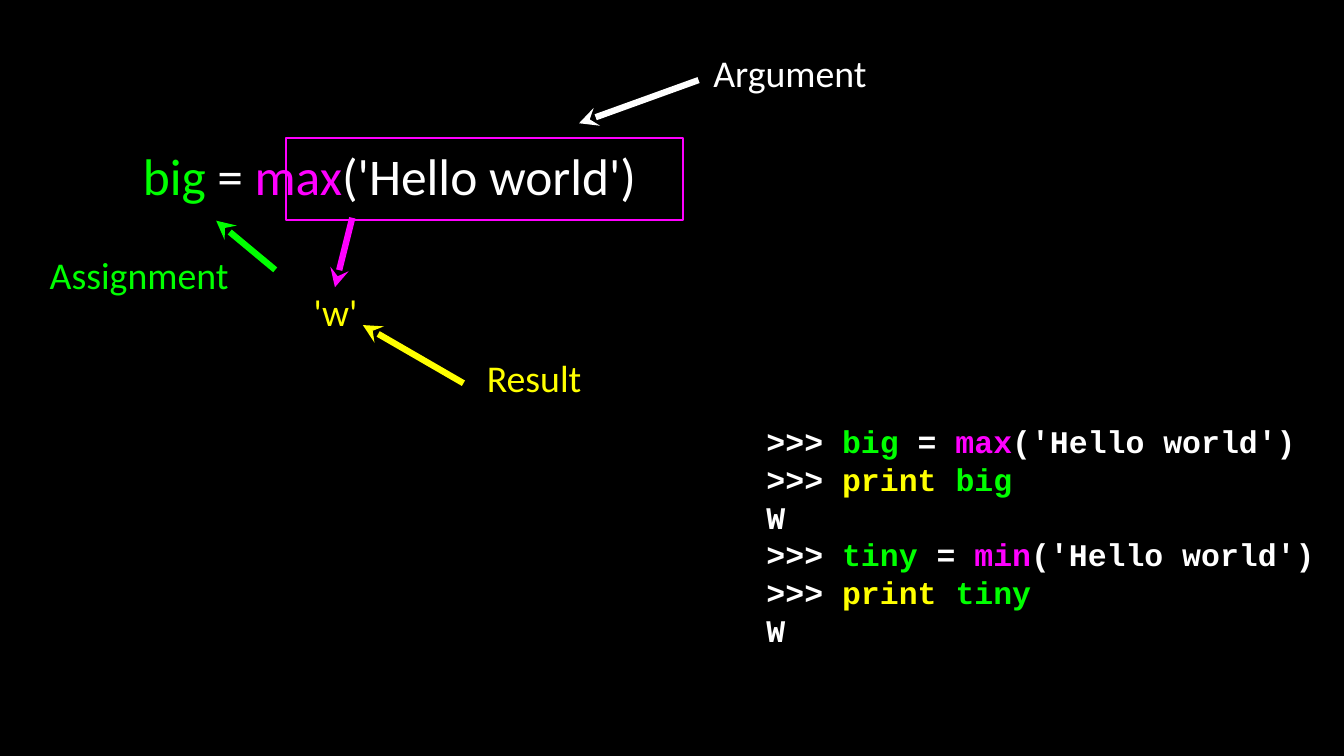
from dataclasses import dataclass

import lxml.etree
import pptx
import pptx.dml.color
import pptx.enum.shapes
import pptx.enum.text
import pptx.oxml.ns
import pptx.util

Pt = pptx.util.Pt
Color = pptx.dml.color.RGBColor
Align = pptx.enum.text.PP_ALIGN
Span = tuple[str, Color]


@dataclass(frozen=True)
class Theme:
    black: Color = Color(0, 0, 0)
    white: Color = Color(255, 255, 255)
    green: Color = Color(0, 255, 0)
    magenta: Color = Color(255, 0, 255)
    yellow: Color = Color(255, 255, 0)
    text_font: str = "Calibri"
    code_font: str = "Courier New"
    expression_size: float = 49
    label_size: float = 36
    code_size: float = 30
    code_pitch: float = 36
    arrow_width: float = 6
    frame_width: float = 2


@dataclass(frozen=True)
class Label:
    text: str
    color: Color
    left: float
    top: float
    width: float
    align: Align = Align.CENTER


@dataclass(frozen=True)
class Arrow:
    tip: tuple[float, float]
    end: tuple[float, float]
    color: Color


THEME = Theme()
LABEL_HEIGHT = 43.2

LABELS = [
    Label("Argument", THEME.white, 666.7, 47.5, 171.4),
    Label("'w'", THEME.yellow, 298.8, 275, 44.6, Align.LEFT),
    Label("Result", THEME.yellow, 456.5, 337.7, 104.4),
    Label("Assignment", THEME.green, 32.4, 239.8, 200.2),
]

ARROWS = [
    Arrow((551.5, 117.4), (665.3, 76.3), THEME.white),
    Arrow((345.6, 309.6), (441.4, 365), THEME.yellow),
    Arrow((205.9, 210.2), (262.1, 257), THEME.green),
    Arrow((319, 273.6), (335.5, 207.4), THEME.magenta),
]


def assignment(variable: str, function: str) -> list[Span]:
    return [
        (variable, THEME.green),
        (" = ", THEME.white),
        (function, THEME.magenta),
        ("('Hello world')", THEME.white),
    ]


def session(variable: str, function: str) -> list[list[Span]]:
    """Return the three console lines that assign, print and show a value."""
    prompt = (">>> ", THEME.white)
    return [
        [prompt, *assignment(variable, function)],
        [prompt, ("print ", THEME.yellow), (variable, THEME.green)],
        [("W", THEME.white)],
    ]


def add_text(page, lines: list[list[Span]], left: float, top: float,
             width: float, height: float, *, size: float,
             font: str = THEME.text_font, bold: bool = False,
             align: Align = Align.LEFT, wrap: bool = False,
             pitch: float | None = None) -> None:
    box = page.shapes.add_textbox(Pt(left), Pt(top), Pt(width), Pt(height))
    frame = box.text_frame
    frame.margin_left = frame.margin_right = 0
    frame.margin_top = frame.margin_bottom = 0
    frame.vertical_anchor = pptx.enum.text.MSO_ANCHOR.MIDDLE
    frame.word_wrap = wrap
    if not wrap:
        frame.auto_size = pptx.enum.text.MSO_AUTO_SIZE.SHAPE_TO_FIT_TEXT
    for index, spans in enumerate(lines):
        para = frame.add_paragraph() if index else frame.paragraphs[0]
        para.alignment = align
        if pitch:
            para.line_spacing = Pt(pitch)
        for text, color in spans:
            span = para.add_run()
            span.text = text
            span.font.name = font
            span.font.size = Pt(size)
            span.font.bold = bold
            span.font.color.rgb = color


def add_frame(page, left: float, top: float, width: float,
              height: float) -> None:
    frame = page.shapes.add_shape(
        pptx.enum.shapes.MSO_SHAPE.RECTANGLE,
        Pt(left), Pt(top), Pt(width), Pt(height))
    frame.shadow.inherit = False
    frame.fill.background()
    frame.line.color.rgb = THEME.magenta
    frame.line.width = Pt(THEME.frame_width)


def add_arrow(page, arrow: Arrow) -> None:
    line = page.shapes.add_connector(
        pptx.enum.shapes.MSO_CONNECTOR.STRAIGHT,
        *map(Pt, arrow.tip + arrow.end))
    line.line.color.rgb = arrow.color
    line.line.width = Pt(THEME.arrow_width)
    qualified = pptx.oxml.ns.qn
    lxml.etree.SubElement(line.line._get_or_add_ln(),
                          qualified("a:headEnd"), type="stealth")
    lxml.etree.SubElement(line._element.spPr, qualified("a:effectLst"))


def main() -> None:
    deck = pptx.Presentation()
    deck.slide_width, deck.slide_height = Pt(1280), Pt(720)
    page = deck.slides.add_slide(deck.slide_layouts.get_by_name("Blank"))
    page.background.fill.solid()
    page.background.fill.fore_color.rgb = THEME.black

    add_text(page, session("big", "max") + session("tiny", "min"),
             730, 380, 550, 260, size=THEME.code_size, font=THEME.code_font,
             bold=True, wrap=True, pitch=THEME.code_pitch)
    add_text(page, [assignment("big", "max")], 136, 137.5, 539.3, 59,
             size=THEME.expression_size)
    add_frame(page, 272.2, 131.8, 378, 77.8)
    for label in LABELS:
        add_text(page, [[(label.text, label.color)]], label.left, label.top,
                 label.width, LABEL_HEIGHT, size=THEME.label_size,
                 align=label.align)
    for arrow in ARROWS:
        add_arrow(page, arrow)
    deck.save("out.pptx")


if __name__ == "__main__":
    main()
